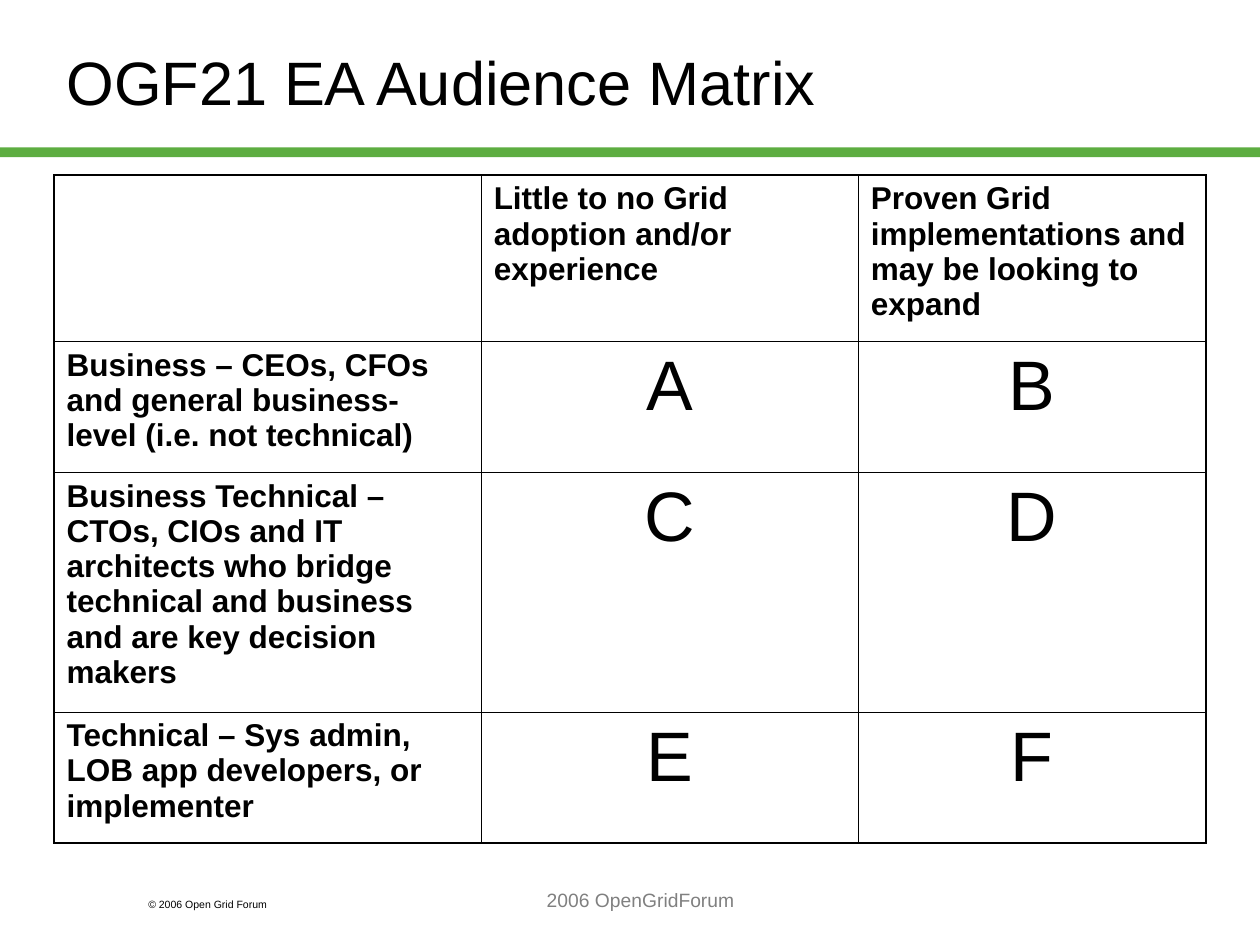
from lxml import etree
from pptx import Presentation
from pptx.dml.color import RGBColor
from pptx.enum.shapes import MSO_SHAPE
from pptx.enum.text import MSO_ANCHOR, PP_ALIGN
from pptx.oxml.ns import qn
from pptx.util import Cm, Pt

BLACK = RGBColor(0x00, 0x00, 0x00)
GREY = RGBColor(0x80, 0x80, 0x80)
GREEN = RGBColor(0x5D, 0xAD, 0x41)
FONT = "Arial"
LEFT, CENTER = PP_ALIGN.LEFT, PP_ALIGN.CENTER
TOP, MIDDLE = MSO_ANCHOR.TOP, MSO_ANCHOR.MIDDLE
RECTANGLE = MSO_SHAPE.RECTANGLE

SLIDE_W, SLIDE_H = 25.4, 19.05
OUTER_LINE, INNER_LINE = 1.08, 0.45

COLUMN_WIDTHS = (8.61, 7.6, 7.01)
ROW_HEIGHTS = (3.35, 2.64, 4.83, 2.64)
MATRIX = (
    ("", "Little to no Grid adoption and/or experience",
     "Proven Grid implementations and may be looking to expand"),
    ("Business – CEOs, CFOs and general business-level (i.e. not technical)",
     "A", "B"),
    ("Business Technical – CTOs, CIOs and IT architects who bridge technical "
     "and business and are key decision makers", "C", "D"),
    ("Technical – Sys admin, LOB app developers, or implementer", "E", "F"),
)


def write(frame, text, size, color=BLACK, bold=False, align=LEFT):
    """Put one formatted paragraph into a text frame."""
    frame.word_wrap = True
    paragraph = frame.paragraphs[0]
    paragraph.alignment = align
    run = paragraph.add_run()
    run.text = text
    run.font.name = FONT
    run.font.size = Pt(size)
    run.font.bold = bold
    run.font.color.rgb = color


def add_label(slide, box, text, anchor=TOP, **text_format):
    frame = slide.shapes.add_textbox(*(Cm(length) for length in box)).text_frame
    frame.vertical_anchor = anchor
    write(frame, text, **text_format)


def set_borders(cell, widths):
    """Draw the left, right, top and bottom borders, in points."""
    properties = cell._tc.get_or_add_tcPr()
    for position, (side, width) in enumerate(zip("LRTB", widths)):
        line = etree.Element(qn(f"a:ln{side}"), w=str(Pt(width)))
        fill = etree.SubElement(line, qn("a:solidFill"))
        etree.SubElement(fill, qn("a:srgbClr"), val=str(BLACK))
        properties.insert(position, line)


def add_header(slide, left, top, width):
    # Title
    add_label(slide, (left + 1.09, top + 0.33, 18.39, 2.59),
              "OGF21 EA Audience Matrix", anchor=MIDDLE, size=35)
    # Green rule across the slide
    rule = slide.shapes.add_shape(
        RECTANGLE, Cm(left), Cm(top + 2.97), Cm(width), Cm(0.2))
    rule.shadow.inherit = False
    rule.fill.solid()
    rule.fill.fore_color.rgb = GREEN
    rule.line.fill.background()


def add_matrix(slide, left, top):
    rows, columns = len(ROW_HEIGHTS), len(COLUMN_WIDTHS)
    matrix = slide.shapes.add_table(
        rows, columns, Cm(left), Cm(top),
        Cm(sum(COLUMN_WIDTHS)), Cm(sum(ROW_HEIGHTS))).table
    for column, width in zip(matrix.columns, COLUMN_WIDTHS):
        column.width = Cm(width)
    for row, height in zip(matrix.rows, ROW_HEIGHTS):
        row.height = Cm(height)

    for r, texts in enumerate(MATRIX):
        for c, text in enumerate(texts):
            cell = matrix.cell(r, c)
            cell.fill.background()
            at_edge = (c == 0, c == columns - 1, r == 0, r == rows - 1)
            set_borders(cell, [OUTER_LINE if edge else INNER_LINE
                               for edge in at_edge])
            if r and c:
                write(cell.text_frame, text, size=40, align=CENTER)
            elif text:
                write(cell.text_frame, text, size=18, bold=True)


def add_footer(slide, left, top):
    # Copyright line
    add_label(slide, (left + 2.74, top + 0.2, 3.81, 0.51),
              "© 2006 Open Grid Forum", size=6)
    # Centred footer
    add_label(slide, (left + 5.51, top, 14.81, 1.27),
              "2006 OpenGridForum", size=11, color=GREY, align=CENTER)


def main():
    presentation = Presentation()
    presentation.slide_width, presentation.slide_height = Cm(SLIDE_W), Cm(SLIDE_H)
    slide = presentation.slides.add_slide(presentation.slide_layouts[6])
    add_header(slide, 0, 0, SLIDE_W)
    add_matrix(slide, 1.09, 3.53)
    add_footer(slide, 0, 17.78)
    presentation.save("out.pptx")


if __name__ == "__main__":
    main()
